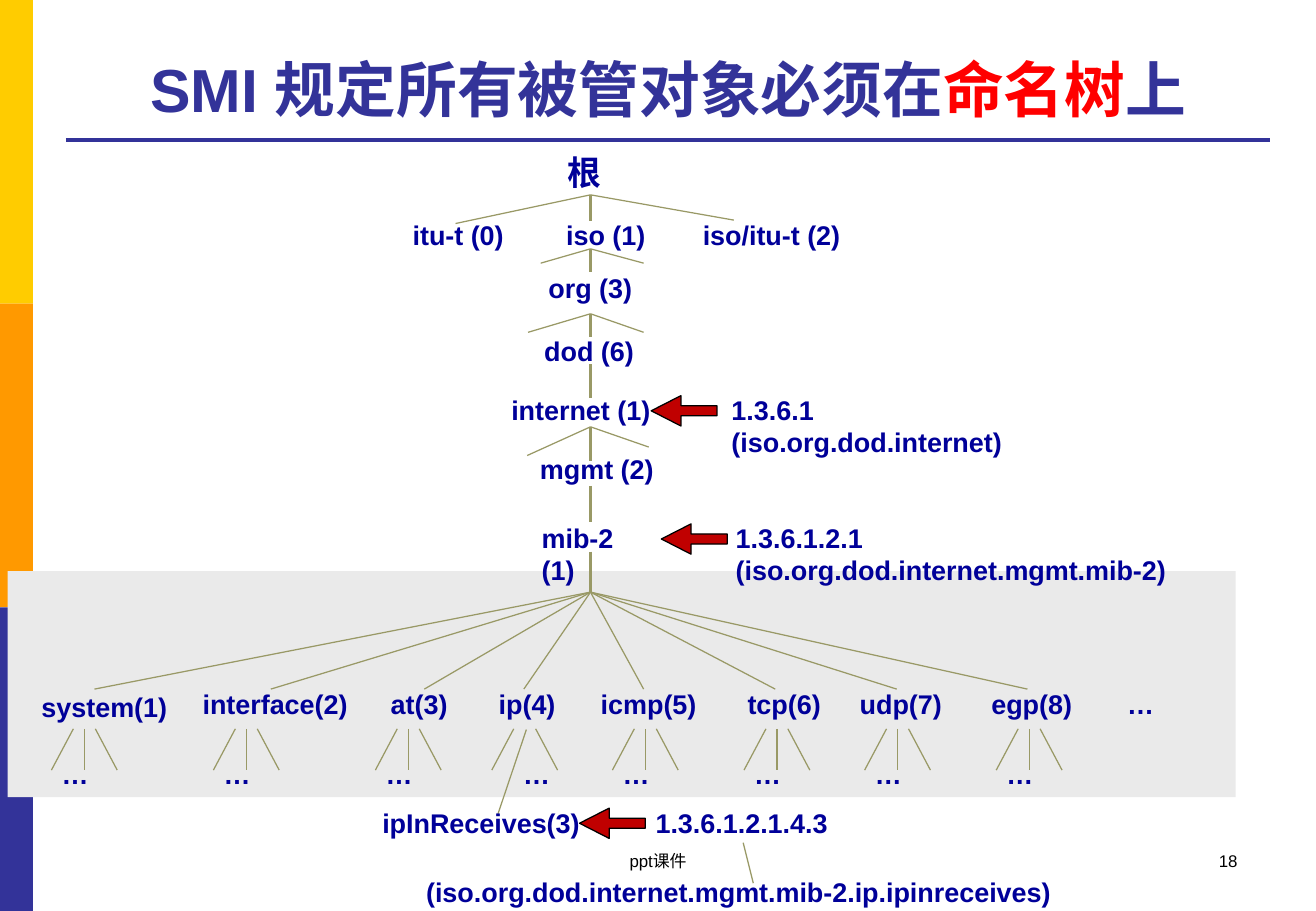
"""Build the slide on the naming tree of managed objects."""
from itertools import product

from lxml import etree
from pptx import Presentation
from pptx.dml.color import RGBColor
from pptx.enum.shapes import MSO_CONNECTOR, MSO_SHAPE
from pptx.enum.text import MSO_ANCHOR, MSO_AUTO_SIZE, PP_ALIGN
from pptx.oxml.ns import qn
from pptx.util import Pt

STRAIGHT = MSO_CONNECTOR.STRAIGHT
RECT, ARROW = MSO_SHAPE.RECTANGLE, MSO_SHAPE.LEFT_ARROW
LEFT, CENTER, RIGHT = PP_ALIGN.LEFT, PP_ALIGN.CENTER, PP_ALIGN.RIGHT
BOTTOM = MSO_ANCHOR.BOTTOM
GROW, FIXED = MSO_AUTO_SIZE.SHAPE_TO_FIT_TEXT, MSO_AUTO_SIZE.NONE

THEME = {
    "font": "Arial",
    "bars": ["FFCC00", "FF9900", "333399"],
    "rule": "333399", "alert": "FF0000", "label": "000099", "twig": "999966",
    "arrow": "C00000", "ink": "000000", "panel": "EAEAEA",
    "thick": 2.25, "thin": 0.75,
    "styles": {
        "title": {"size": Pt(36), "bold": True},
        "root": {"size": Pt(20), "bold": True},
        "label": {"size": Pt(16), "bold": True},
        "foot": {"size": Pt(10), "bold": False},
    },
}

TITLE = [("SMI 规定所有被管对象必须在", "rule"), ("命名树", "alert"), ("上", "rule")]
ROOT = ("根", 329.5, 86.5, 34.5)
LABELS = [
    ("iso (1)", 328.5, 126, 62),
    ("itu-t (0)", 237.5, 126, 70),
    ("iso/itu-t (2)", 409.5, 126, 97),
    ("org (3)", 318, 157.5, 65),
    ("dod (6)", 315.5, 194.5, 68.5),
    ("internet (1)", 296, 229.5, 97),
    ("1.3.6.1 (iso.org.dod.internet)", 426.5, 229.5, 227),
    ("mgmt (2)", 313, 264.5, 83),
    ("mib-2 (1)", 314, 305.5, 80.5),
    ("1.3.6.1.2.1 (iso.org.dod.internet.mgmt.mib-2)", 429, 305.5, 349),
    ("…", 661, 404, 31),
    ("ipInReceives(3)", 219.5, 474.5, 137.5),
    ("1.3.6.1.2.1.4.3", 381.5, 474.5, 118),
    ("(iso.org.dod.internet.mgmt.mib-2.ip.ipinreceives)", 245.5, 515.5, 390),
]
# label, left, top, width, fan tip, stem
GROUPS = [
    ("system(1)", 17.5, 405.5, 90, 56, 50),
    ("interface(2)", 113, 404, 101.5, 160.5, 146),
    ("at(3)", 224.5, 404, 49, 251.5, 242),
    ("ip(4)", 288.5, 404, 49, 310.5, 311),
    ("icmp(5)", 349, 404, 72, 381.5, 382.5),
    ("tcp(6)", 436, 404, 58.5, 459.5, 460.5),
    ("udp(7)", 502.5, 404, 64, 531.5, 532),
    ("egp(8)", 580.5, 404, 64, 609, 610),
]
TRUNK = [
    (115.5, 131, [(270, 132.5), (435, 130.5)]),
    (147.5, 161.5, [(320.5, 156), (381.5, 156)]),
    (186, 200, [(313, 197), (381.5, 197)]),
    (216, 236, []),
    (253, 273, [(312.5, 270), (384.5, 265)]),
    (288, 309.5, []),
    (327, 351, []),
]
ARROWS = [(386, 234.5), (392, 310.5), (343.5, 479)]
EXTRA = [(312, 432.5, 295, 483), (446.5, 523.5, 440.5, 499.5)]
FOOT = [("18", 558.5, 182, RIGHT), ("ppt课件", 266.5, 247, CENTER)]
AXIS, HUB = 350, 351
TIP, STEM, END = 408.5, 432, 456.5


def tint(name):
    return RGBColor.from_string(THEME.get(name, name))


def assign(item, values):
    for key, value in values.items():
        setattr(item, key, value)


def write(frame, runs, style, align=LEFT):
    para = frame.paragraphs[0]
    para.alignment = align
    for text, color in runs:
        run = para.add_run()
        run.text = text
        assign(run.font, {"name": THEME["font"], **THEME["styles"][style]})
        run.font.color.rgb = tint(color)


def label(slide, text, left, top, width, style="label"):
    box = slide.shapes.add_textbox(Pt(left), Pt(top), Pt(width), Pt(26.5))
    assign(box.text_frame, {"word_wrap": False, "auto_size": GROW})
    write(box.text_frame, [(text, "label")], style)


def block(slide, kind, place, color, edge=None):
    shape = slide.shapes.add_shape(kind, *map(Pt, place))
    shape.shadow.inherit = False
    shape.fill.solid()
    shape.fill.fore_color.rgb = tint(color)
    if edge:
        shape.line.color.rgb = tint(edge)
        shape.line.width = Pt(THEME["thin"])
    else:
        shape.line.fill.background()
    return shape


def link(slide, ends, weight="thin", color="twig"):
    line = slide.shapes.add_connector(STRAIGHT, *map(Pt, ends))
    line.line.color.rgb = tint(color)
    line.line.width = Pt(THEME[weight])
    etree.SubElement(line.element.spPr, qn("a:effectLst"))


def frame_page(slide):
    for row, color in enumerate(THEME["bars"]):
        block(slide, RECT, (0, 180 * row, 19.5, 180), color)
    link(slide, (39, 83, 753, 83), "thick", "rule")
    title = slide.shapes.title
    assign(title, {"left": Pt(39), "top": Pt(15), "width": Pt(714), "height": Pt(62.5)})
    assign(title.text_frame, {"vertical_anchor": BOTTOM, "auto_size": FIXED,
                              "word_wrap": True})
    write(title.text_frame, TITLE, "title", CENTER)
    for text, left, width, align in FOOT:
        box = slide.shapes.add_textbox(Pt(left), Pt(500.5), Pt(width), Pt(36))
        box.text_frame.word_wrap = True
        write(box.text_frame, [(text, "ink")], "foot", align)


def draw_tree(slide):
    block(slide, RECT, (4.5, 338.5, 728, 134), "panel")
    for top, end, tips in TRUNK:
        link(slide, (AXIS, top, AXIS, end), "thick")
        for tip in tips:
            link(slide, (AXIS, top, *tip))
    for text, left, top, width, tip, stem in GROUPS:
        is_ip = text == "ip(4)"
        link(slide, (AXIS, HUB, tip, TIP))
        for side in (-1, 1) if is_ip else (-1, 0, 1):
            link(slide, (stem + 6.5 * side, STEM, stem + 19.5 * side, END))
        label(slide, text, left, top, width)
        label(slide, "…", stem - (8 if is_ip else 20.5), 445.5, 31)
    for ends in EXTRA:
        link(slide, ends)
    label(slide, *ROOT, style="root")
    for item in LABELS:
        label(slide, *item)
    for (place, size) in product(ARROWS, [(39, 18)]):
        arrow = block(slide, ARROW, place + size, "arrow", "ink")
        arrow.adjustments[0], arrow.adjustments[1] = 0.33, 0.98


def main():
    deck = Presentation()
    assign(deck, {"slide_width": Pt(780), "slide_height": Pt(540)})
    slide = deck.slides.add_slide(deck.slide_layouts[5])
    frame_page(slide)
    draw_tree(slide)
    deck.save("out.pptx")


if __name__ == "__main__":
    main()
